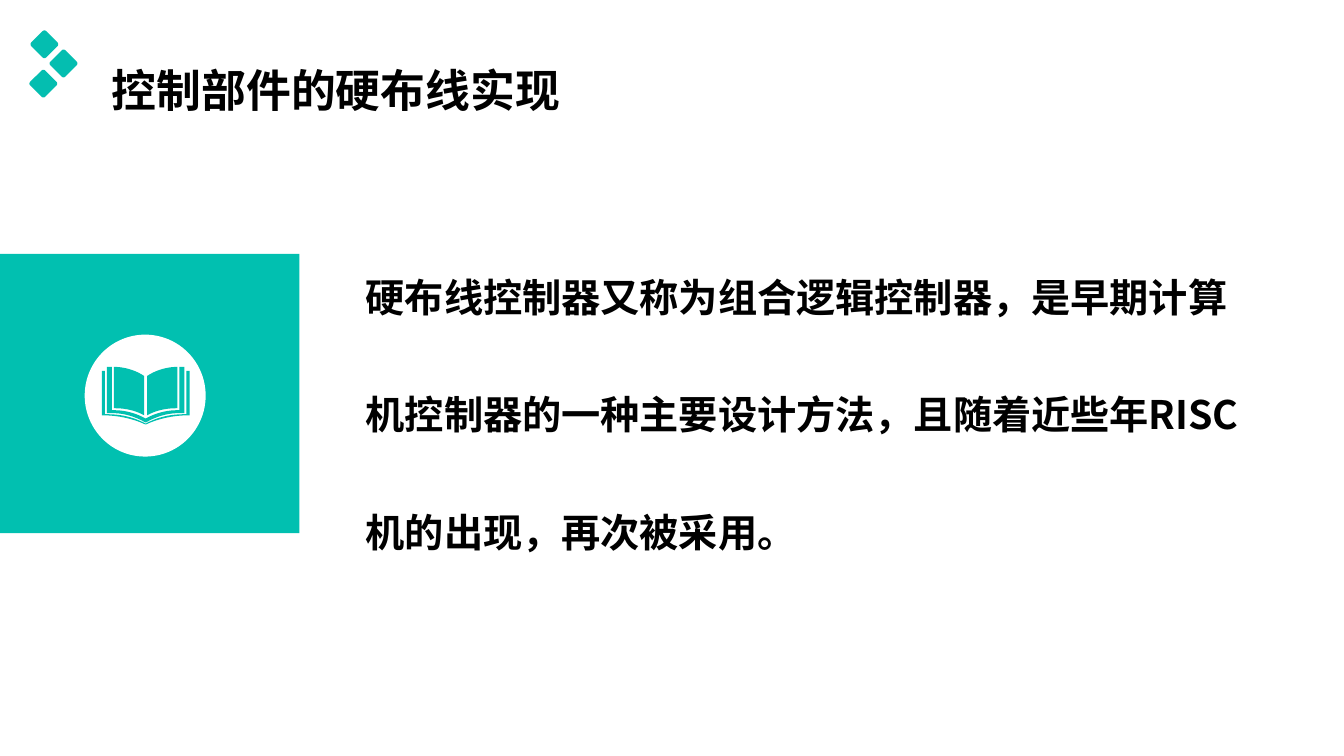
from pptx import Presentation
from pptx.dml.color import RGBColor
from pptx.enum import shapes, text
from pptx.oxml.ns import qn
from pptx.util import Inches, Pt

# Content: words, box, text size, line pitch, anchor
TITLE = ("控制部件的硬布线实现", (1.01, 0.07, 6.88, 0.83), 32, 96, text.MSO_ANCHOR.MIDDLE)
BODY = ("硬布线控制器又称为组合逻辑控制器，是早期计算机控制器的一种主要设计方法，"
        "且随着近些年RISC机的出现，再次被采用。",
        (3.53, 1.96, 8.96, 4.8), 28, 84, text.MSO_ANCHOR.TOP)
FONT = "Noto Sans CJK SC"
BLACK = RGBColor(0x00, 0x00, 0x00)
WHITE = RGBColor(0xFF, 0xFF, 0xFF)
TEAL = RGBColor(0x01, 0xC0, 0xB0)
DIAMOND_TEAL = RGBColor(0x04, 0xBE, 0xB0)

PANEL = (-0.02, 2.52, 2.99, 2.77)
DISC = (0.84, 3.32, 1.2, 1.21)
DIAMOND_CENTRES = [(0.44, 0.44), (0.63, 0.63), (0.43, 0.83)]
DIAMOND_SIDE = 0.21

# Left half of the book: one point is a line, three points are a curve
BOOK_AXIS = (1.01 + 1.88) / 2
COVER = [[(1.44, 4.2)], [(1.33, 4.14), (1.2, 4.11), (1.08, 4.11)], [(1.04, 4.11)],
         [(1.04, 3.68)], [(1.01, 3.68)], [(1.01, 4.12)],
         [(1.16, 4.12), (1.31, 4.15), (1.44, 4.21)]]
LEAF = [[(1.44, 4.15)], [(1.35, 4.1), (1.24, 4.07), (1.14, 4.07)], [(1.11, 4.07)],
        [(1.11, 3.64)], [(1.06, 3.64)], [(1.06, 4.1)],
        [(1.19, 4.09), (1.32, 4.12), (1.44, 4.19)]]
PAGE = [[(1.43, 4.12)], [(1.43, 3.73)], [(1.34, 3.67), (1.23, 3.64), (1.13, 3.64)],
        [(1.13, 4.05)], [(1.24, 4.05), (1.34, 4.07), (1.43, 4.12)]]

deck = Presentation()
deck.slide_width, deck.slide_height = Inches(13.33), Inches(7.5)
slide = deck.slides.add_slide(deck.slide_layouts[6])


def paint(part, color):
    part.shadow.inherit = False
    part.fill.solid()
    part.fill.fore_color.rgb = color
    part.line.fill.background()


def add_block(kind, box, color):
    block = slide.shapes.add_shape(kind, *map(Inches, box))
    paint(block, color)
    return block


def add_words(words, box, size, pitch, anchor):
    frame = slide.shapes.add_textbox(*map(Inches, box)).text_frame
    frame.word_wrap = True
    frame.vertical_anchor = anchor
    paragraph = frame.paragraphs[0]
    paragraph.line_spacing = Pt(pitch)
    run = paragraph.add_run()
    run.text = words
    for name, value in {"size": Pt(size), "bold": True, "name": FONT}.items():
        setattr(run.font, name, value)
    run.font.color.rgb = BLACK
    east_asian = run._r.get_or_add_rPr().makeelement(qn("a:ea"), {"typeface": FONT})
    run.font._element.find(qn("a:latin")).addnext(east_asian)


def trace(segments, steps=10):
    points = []
    for segment in segments:
        if len(segment) == 1:
            points += segment
            continue
        curve = [points[-1], *segment]
        for step in range(1, steps + 1):
            t = step / steps
            weights = ((1 - t) ** 3, 3 * t * (1 - t) ** 2, 3 * t * t * (1 - t), t ** 3)
            points.append(tuple(sum(w * p[axis] for w, p in zip(weights, curve))
                                for axis in (0, 1)))
    return points


def mirror(points):
    return [(2 * BOOK_AXIS - x, y) for x, y in reversed(points)]


def add_book():
    cover, leaf, page = map(trace, (COVER, LEAF, PAGE))
    outlines = [cover + mirror(cover), leaf + mirror(leaf), page, mirror(page)]
    builder = None
    for outline in outlines:
        start, *rest = [(Inches(x), Inches(y)) for x, y in outline]
        if builder is None:
            builder = slide.shapes.build_freeform(*start)
        else:
            builder.move_to(*start)
        builder.add_line_segments(rest, close=True)
    paint(builder.convert_to_shape(), TEAL)


# Title and explanation
add_words(*TITLE)
add_words(*BODY)

# Panel with the book emblem
add_block(shapes.MSO_SHAPE.RECTANGLE, PANEL, TEAL)
add_block(shapes.MSO_SHAPE.OVAL, DISC, WHITE)
add_book()

# Corner diamonds
for x, y in DIAMOND_CENTRES:
    half = DIAMOND_SIDE / 2
    diamond = add_block(shapes.MSO_SHAPE.ROUNDED_RECTANGLE,
                        (x - half, y - half, DIAMOND_SIDE, DIAMOND_SIDE), DIAMOND_TEAL)
    diamond.adjustments[0] = 0.12
    diamond.rotation = 45

deck.save("out.pptx")
